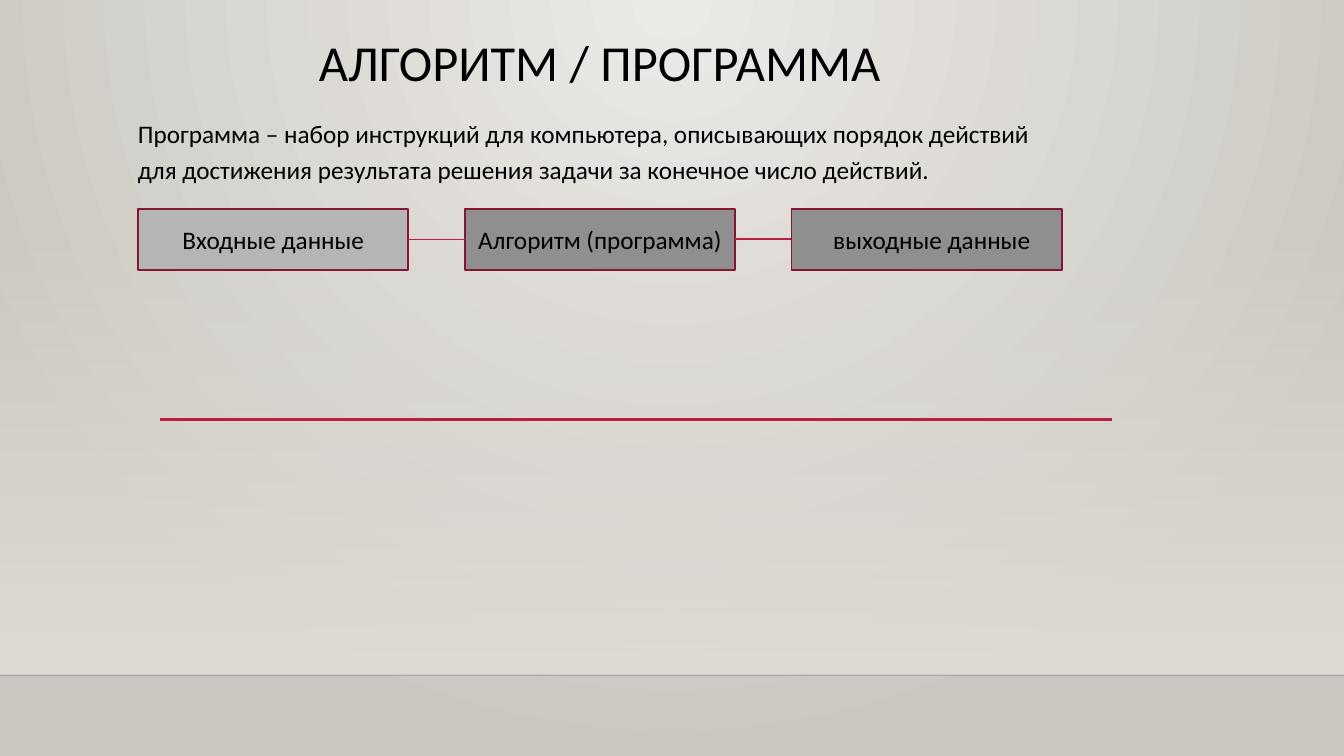
from pptx import Presentation
from pptx.dml.color import RGBColor as RGB
from pptx.enum.shapes import MSO_CONNECTOR as Link, MSO_SHAPE as Kind
from pptx.enum.text import MSO_ANCHOR as Anchor, PP_ALIGN as Align
from pptx.oxml import parse_xml
from pptx.oxml.ns import nsdecls, qn
from pptx.util import Inches, Pt
from lxml.etree import SubElement

TITLE = "АЛГОРИТМ / ПРОГРАММА"
BODY = ("Программа – набор инструкций для компьютера, описывающих порядок "
        "действий для достижения результата решения задачи за конечное число действий.")
STEPS = [("Входные данные", "pale", 0), ("Алгоритм (программа)", "gray", 0),
         ("выходные данные", "gray", 0.1)]
LINKS = [1, 1.5]

THEME = dict(font="Calibri", head=36, text=18, ink="000000", red="B71E42",
             edge="871631", pale="B5B5B5", gray="8F8F8F", glow="ECEAE7",
             dusk="CAC7C1", veil="DFDBD5", floor="000001")

WIDE, HIGH = 13.33, 7.5
LEFT, TOP, BOX_W, BOX_H, GAP = 1.37, 2.07, 2.68, 0.61, 0.56
FLOOR = 6.7
ROW_W = 3 * BOX_W + 2 * GAP

deck = Presentation()
deck.slide_width, deck.slide_height = Inches(WIDE), Inches(HIGH)
slide = deck.slides.add_slide(deck.slide_layouts[5])
shapes = slide.shapes


def color(key):
    return RGB.from_string(THEME[key])


def blend(fill, host, stops, shade):
    fill.gradient()
    old = next(host.iter(qn("a:gradFill")))
    marks = "".join(
        f'<a:gs pos="{pos}"><a:srgbClr val="{THEME[key]}">'
        f'<a:alpha val="{alpha}"/></a:srgbClr></a:gs>' for pos, key, alpha in stops)
    old.getparent().replace(old, parse_xml(
        f'<a:gradFill {nsdecls("a")} rotWithShape="1">'
        f'<a:gsLst>{marks}</a:gsLst>{shade}</a:gradFill>'))


def rule(x, y, wide, key, size):
    line = shapes.add_connector(Link.STRAIGHT, Inches(x), Inches(y),
                                Inches(x + wide), Inches(y))
    line.line.color.rgb, line.line.width = color(key), Pt(size)
    SubElement(line.element.spPr, qn("a:effectLst"))
    return line


def block(x, y, wide, high):
    box = shapes.add_shape(Kind.RECTANGLE, Inches(x), Inches(y),
                           Inches(wide), Inches(high))
    box.shadow.inherit = False
    return box


def write(box, text, size, align, anchor):
    frame = box.text_frame
    frame.word_wrap, frame.vertical_anchor = True, anchor
    para = frame.paragraphs[0]
    para.text, para.alignment = text, align
    font = para.font
    font.name, font.size, font.color.rgb = THEME["font"], Pt(THEME[size]), color("ink")
    return para


blend(slide.background.fill, slide.element,
      [(0, "glow", 100000), (100000, "dusk", 100000)],
      '<a:path path="circle"><a:fillToRect l="43000" r="43000" b="100000"/></a:path>')

veil = block(0, 2.21, WIDE, FLOOR - 2.21)
blend(veil.fill, veil.element, [(0, "veil", 0), (100000, "veil", 100000)],
      '<a:lin ang="5400000" scaled="0"/>')
veil.line.fill.background()

base = rule(0, FLOOR, WIDE, "floor", 1)
tint = next(base.element.spPr.iter(qn("a:srgbClr")))
SubElement(tint, qn("a:alpha")).set("val", "20000")
rule(1.59, 4.16, 9.44, "red", 2.5)

title = shapes.title
title.left, title.top = Inches(LEFT), Inches(-0.02)
title.width, title.height = Inches(ROW_W), Inches(0.99)
write(title, TITLE, "head", Align.CENTER, Anchor.BOTTOM).line_spacing = 0.9

body = shapes.add_textbox(Inches(LEFT - 0.1), Inches(1.01), Inches(9.44), Inches(1))
body.text_frame.margin_top = Inches(0.1)
para = write(body, BODY, "text", Align.LEFT, Anchor.TOP)
para.line_spacing, para.space_before = 1.2, Pt(10)

for col, (text, key, shift) in enumerate(STEPS):
    box = block(LEFT + col * (BOX_W + GAP), TOP, BOX_W, BOX_H)
    box.fill.solid()
    box.fill.fore_color.rgb = color(key)
    box.line.color.rgb, box.line.width = color("edge"), Pt(1.25)
    box.text_frame.margin_left = Inches(0.1 + shift)
    write(box, text, "text", Align.CENTER, Anchor.MIDDLE)

for col, size in enumerate(LINKS, 1):
    rule(LEFT + col * (BOX_W + GAP) - GAP, TOP + BOX_H / 2, GAP, "red", size)

deck.save("out.pptx")
